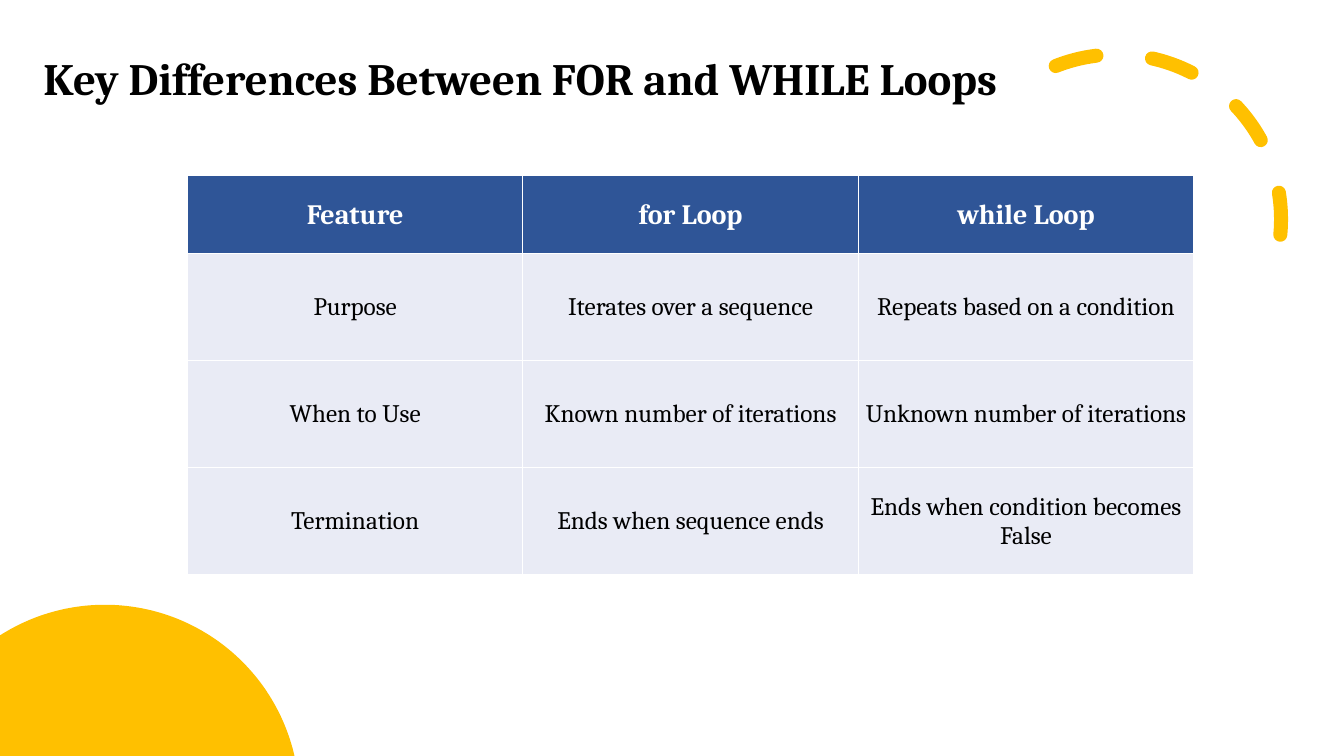
from math import asin, cos, pi, sin, sqrt

from lxml.etree import SubElement
from pptx import Presentation
from pptx.dml.color import RGBColor
from pptx.enum.dml import MSO_LINE
from pptx.enum.shapes import MSO_SHAPE
from pptx.enum.text import MSO_ANCHOR, MSO_AUTO_SIZE, PP_ALIGN
from pptx.oxml.ns import qn
from pptx.util import Pt

TITLE = "Key Differences Between FOR and WHILE Loops"
ROWS = [
    ("Feature", "for Loop", "while Loop"),
    ("Purpose", "Iterates over a sequence", "Repeats based on a condition"),
    ("When to Use", "Known number of iterations", "Unknown number of iterations"),
    ("Termination", "Ends when sequence ends", "Ends when condition becomes False"),
]
COLORS = {"gold": "FFC000", "head": "2F5597", "body": "E9EBF5",
          "white": "FFFFFF", "black": "000000"}
FONT = "Cambria"
WIDE, HIGH = 960, 540
HEAD_H, BODY_H, COL_W = 55.2, 76.6, 239.6
SUN_X, SUN_Y, SUN_R = 74.9, 571, 139
SUN_STEPS = 90


def color(name):
    return RGBColor.from_string(COLORS[name])


def place(shape, left, top, width, height):
    shape.left, shape.top = Pt(left), Pt(top)
    shape.width, shape.height = Pt(width), Pt(height)


def write(frame, text, size=18, bold=False, ink="black", align=PP_ALIGN.CENTER):
    para = frame.paragraphs[0]
    para.alignment = align
    run = para.add_run()
    run.text = text
    font = run.font
    font.name, font.size, font.bold = FONT, Pt(size), bold
    font.color.rgb = color(ink)


def add_arc(slide):
    arc = slide.shapes.add_shape(MSO_SHAPE.ARC, Pt(679.7), Pt(38.9), Pt(235.4), Pt(235.4))
    arc.adjustments[0], arc.adjustments[1] = 144.418, 0
    arc.rotation = 66.1
    arc.shadow.inherit = False
    arc.fill.background()
    line = arc.line
    line.color.rgb = color("gold")
    line.width = Pt(10)
    line.dash_style = MSO_LINE.DASH
    props = arc.element.spPr
    props.find(qn("a:xfrm")).set("flipH", "1")
    stroke = props.find(qn("a:ln"))
    stroke.set("cap", "rnd")
    SubElement(stroke, qn("a:round"))


def add_sun(slide):
    """Draw the part of a circle that lies inside the bottom left corner."""
    start = pi + asin(sqrt(1 - (SUN_X / SUN_R) ** 2))
    end = 2 * pi - asin((SUN_Y - HIGH) / SUN_R)
    turns = [start + (end - start) * i / SUN_STEPS for i in range(SUN_STEPS + 1)]
    rim = [(Pt(SUN_X + SUN_R * cos(t)), Pt(SUN_Y + SUN_R * sin(t))) for t in turns]
    pen = slide.shapes.build_freeform(0, Pt(HIGH))
    pen.add_line_segments(rim, close=True)
    sun = pen.convert_to_shape()
    sun.shadow.inherit = False
    sun.fill.solid()
    sun.fill.fore_color.rgb = color("gold")
    sun.line.fill.background()


def add_title(slide):
    title = slide.shapes.title
    place(title, 23.8, 32.4, 725.8, 46)
    frame = title.text_frame
    frame.word_wrap = False
    frame.auto_size = MSO_AUTO_SIZE.SHAPE_TO_FIT_TEXT
    frame.vertical_anchor = MSO_ANCHOR.MIDDLE
    write(frame, TITLE, size=32, bold=True, align=PP_ALIGN.LEFT)


def add_edges(cell):
    props = cell._tc.get_or_add_tcPr()
    for side in ("lnL", "lnR", "lnT", "lnB"):
        edge = SubElement(props, qn(f"a:{side}"), w=str(Pt(1)))
        fill = SubElement(edge, qn("a:solidFill"))
        SubElement(fill, qn("a:srgbClr"), val=COLORS["white"])


def add_grid(slide):
    cols = len(ROWS[0])
    heights = [HEAD_H] + [BODY_H] * (len(ROWS) - 1)
    table = slide.shapes.add_table(len(ROWS), cols, Pt(133.9), Pt(125.6),
                                   Pt(COL_W * cols), Pt(sum(heights))).table
    for col in table.columns:
        col.width = Pt(COL_W)
    for r, texts in enumerate(ROWS):
        table.rows[r].height = Pt(heights[r])
        head = r == 0
        look = dict(size=20, bold=True, ink="white") if head else {}
        for c, text in enumerate(texts):
            cell = table.cell(r, c)
            add_edges(cell)
            cell.fill.solid()
            cell.fill.fore_color.rgb = color("head" if head else "body")
            cell.vertical_anchor = MSO_ANCHOR.MIDDLE
            cell.margin_left = cell.margin_right = cell.margin_top = Pt(0.7)
            cell.margin_bottom = 0
            write(cell.text_frame, text, **look)


def main():
    deck = Presentation()
    deck.slide_width, deck.slide_height = Pt(WIDE), Pt(HIGH)
    slide = deck.slides.add_slide(deck.slide_layouts[5])
    add_arc(slide)
    add_sun(slide)
    add_title(slide)
    add_grid(slide)
    deck.save("out.pptx")


if __name__ == "__main__":
    main()
